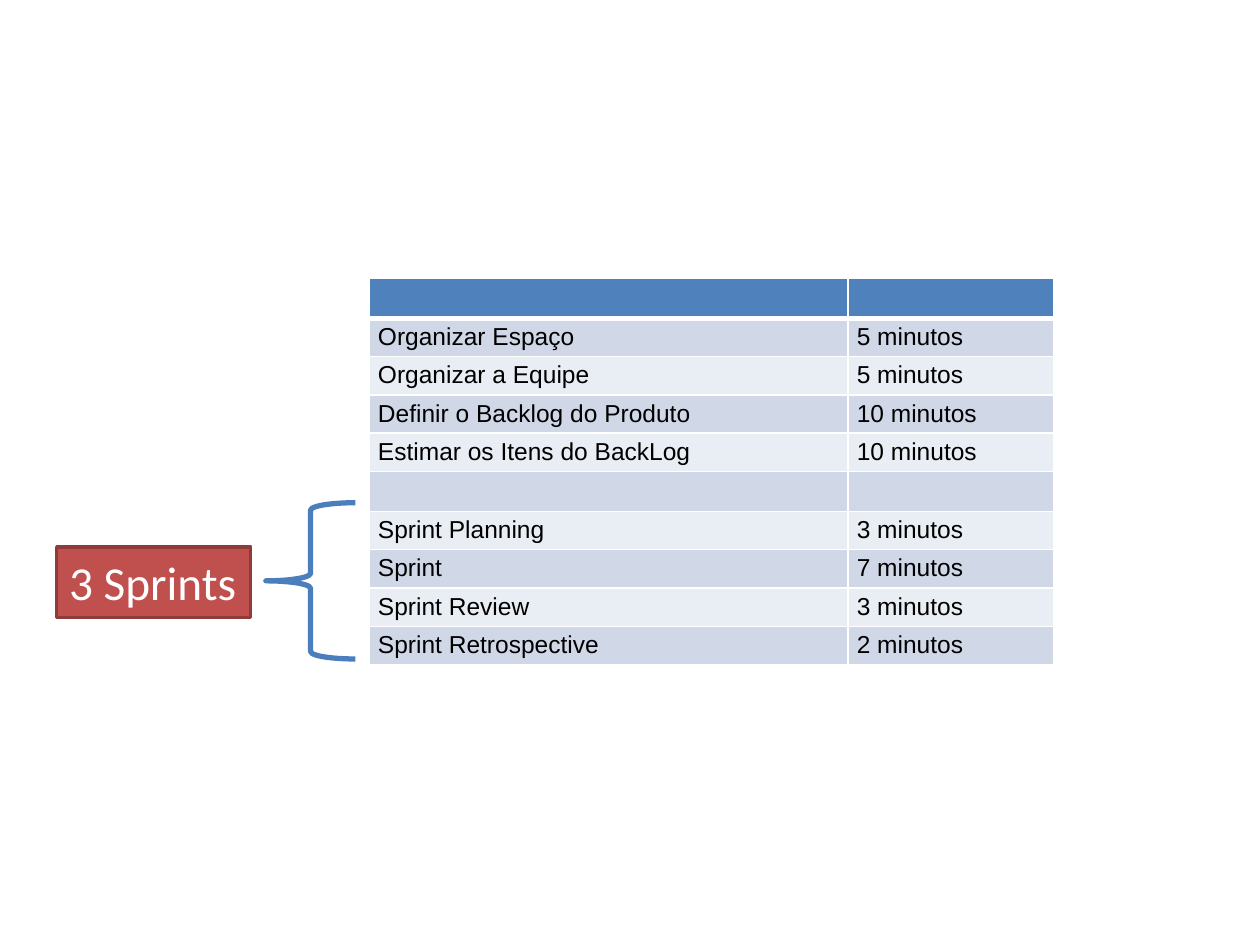
import pptx
import pptx.dml.color
import pptx.enum.shapes
import pptx.enum.text
import pptx.oxml.ns
import pptx.util
from lxml import etree
from pptx.util import Inches

RGBColor = pptx.dml.color.RGBColor
WHITE = RGBColor(0xFF, 0xFF, 0xFF)
BLACK = RGBColor(0x00, 0x00, 0x00)
HEADER_BLUE = RGBColor(0x4F, 0x81, 0xBD)
BAND_DARK = RGBColor(0xD0, 0xD8, 0xE8)
BAND_LIGHT = RGBColor(0xE9, 0xED, 0xF4)
BRACE_BLUE = RGBColor(0x4B, 0x7E, 0xBC)
BOX_RED = RGBColor(0xC0, 0x50, 0x4D)
BOX_BORDER = RGBColor(0x8E, 0x3B, 0x39)

AGENDA = [
    ("", ""),
    ("Organizar Espaço", "5 minutos"),
    ("Organizar a Equipe", "5 minutos"),
    ("Definir o Backlog do Produto", "10 minutos"),
    ("Estimar os Itens do BackLog", "10 minutos"),
    ("", ""),
    ("Sprint Planning", "3 minutos"),
    ("Sprint", "7 minutos"),
    ("Sprint Review", "3 minutos"),
    ("Sprint Retrospective", "2 minutos"),
]


def write_text(paragraph, text, size=14, font="Arial", color=BLACK, align=None):
    paragraph.alignment = align
    if not text:
        end = etree.SubElement(paragraph._p, pptx.oxml.ns.qn("a:endParaRPr"))
        end.set("sz", str(size * 100))
        return
    run = paragraph.add_run()
    run.text = text
    run.font.size = pptx.util.Pt(size)
    run.font.name = font
    run.font.color.rgb = color


def set_borders(cell, color, **widths):
    properties = cell._tc.get_or_add_tcPr()
    for side in ("L", "R", "T", "B"):
        line = etree.SubElement(properties, pptx.oxml.ns.qn("a:ln" + side))
        line.set("w", str(pptx.util.Pt(widths.get(side, 1))))
        fill = etree.SubElement(line, pptx.oxml.ns.qn("a:solidFill"))
        etree.SubElement(fill, pptx.oxml.ns.qn("a:srgbClr")).set("val", str(color))


def add_agenda_table(slide, left, top, width, height):
    row_count = len(AGENDA)
    table = slide.shapes.add_table(row_count, 2, left, top, width, height).table
    table.columns[0].width = Inches(3.8)
    table.columns[1].width = width - Inches(3.8)
    for row_index, texts in enumerate(AGENDA):
        table.rows[row_index].height = height // row_count
        band = BAND_DARK if row_index % 2 else BAND_LIGHT
        for column_index, text in enumerate(texts):
            cell = table.cell(row_index, column_index)
            set_borders(cell, WHITE, T=3 if row_index == 1 else 1,
                        B=3 if row_index == 0 else 1)
            cell.fill.solid()
            cell.fill.fore_color.rgb = band if row_index else HEADER_BLUE
            cell.margin_left = cell.margin_right = Inches(0.07)
            cell.margin_top = cell.margin_bottom = Inches(0.04)
            write_text(cell.text_frame.paragraphs[0], text)


def add_brace(slide, left, top, width, height):
    brace = slide.shapes.add_shape(
        pptx.enum.shapes.MSO_SHAPE.LEFT_BRACE, left, top, width, height)
    brace.shadow.inherit = False
    brace.fill.background()
    brace.line.color.rgb = BRACE_BLUE
    brace.line.width = pptx.util.Pt(3)


def add_sprint_box(slide, left, top, width, height):
    box = slide.shapes.add_shape(
        pptx.enum.shapes.MSO_SHAPE.RECTANGLE, left, top, width, height)
    box.shadow.inherit = False
    box.fill.solid()
    box.fill.fore_color.rgb = BOX_RED
    box.line.color.rgb = BOX_BORDER
    box.line.width = pptx.util.Pt(2)
    frame = box.text_frame
    frame.word_wrap = False
    frame.auto_size = pptx.enum.text.MSO_AUTO_SIZE.SHAPE_TO_FIT_TEXT
    frame.vertical_anchor = pptx.enum.text.MSO_ANCHOR.TOP
    write_text(frame.paragraphs[0], "3 Sprints", size=27, font="Calibri",
               color=WHITE, align=pptx.enum.text.PP_ALIGN.LEFT)


def main():
    presentation = pptx.Presentation()
    presentation.slide_width = Inches(10)
    presentation.slide_height = Inches(7.5)
    slide = presentation.slides.add_slide(presentation.slide_layouts[6])
    add_agenda_table(slide, Inches(2.93), Inches(2.21), Inches(5.43), Inches(3.04))
    add_brace(slide, Inches(2.11), Inches(3.99), Inches(0.71), Inches(1.24))
    add_sprint_box(slide, Inches(0.45), Inches(4.34), Inches(1.54), Inches(0.56))
    presentation.save("out.pptx")


if __name__ == "__main__":
    main()
